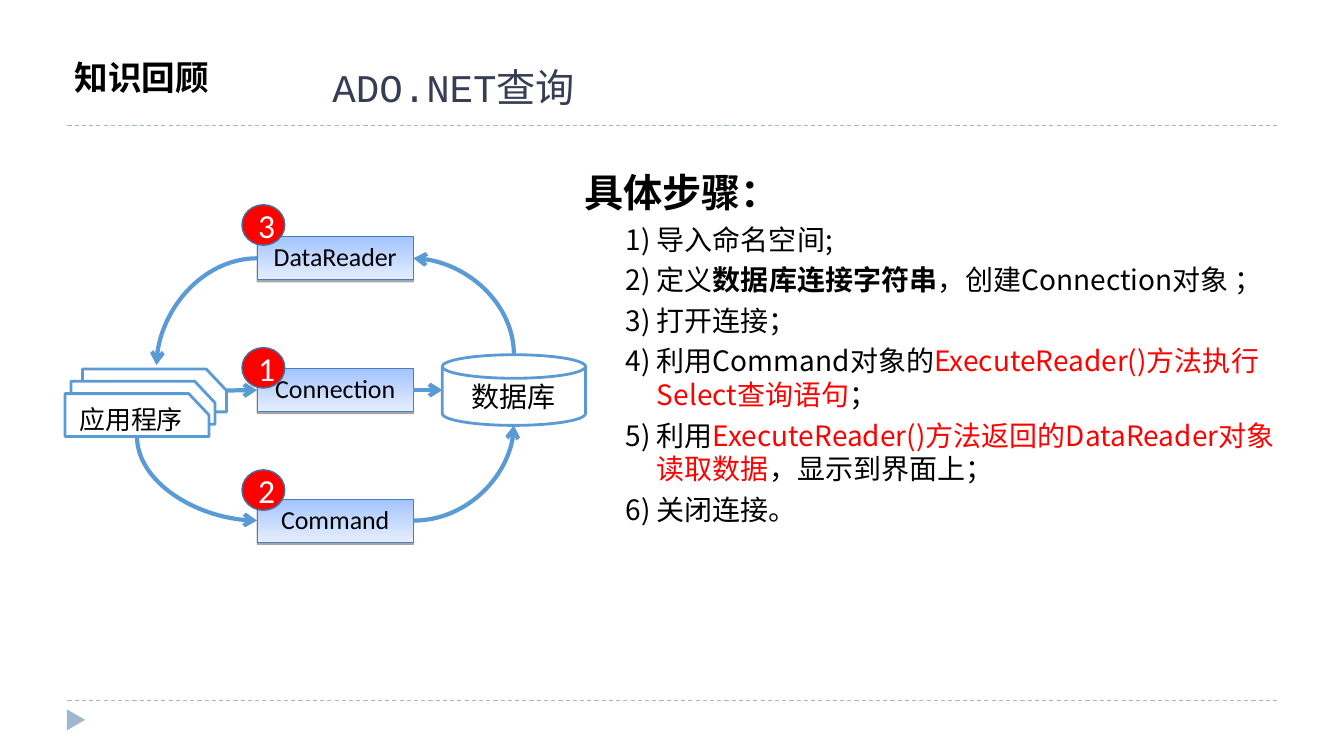
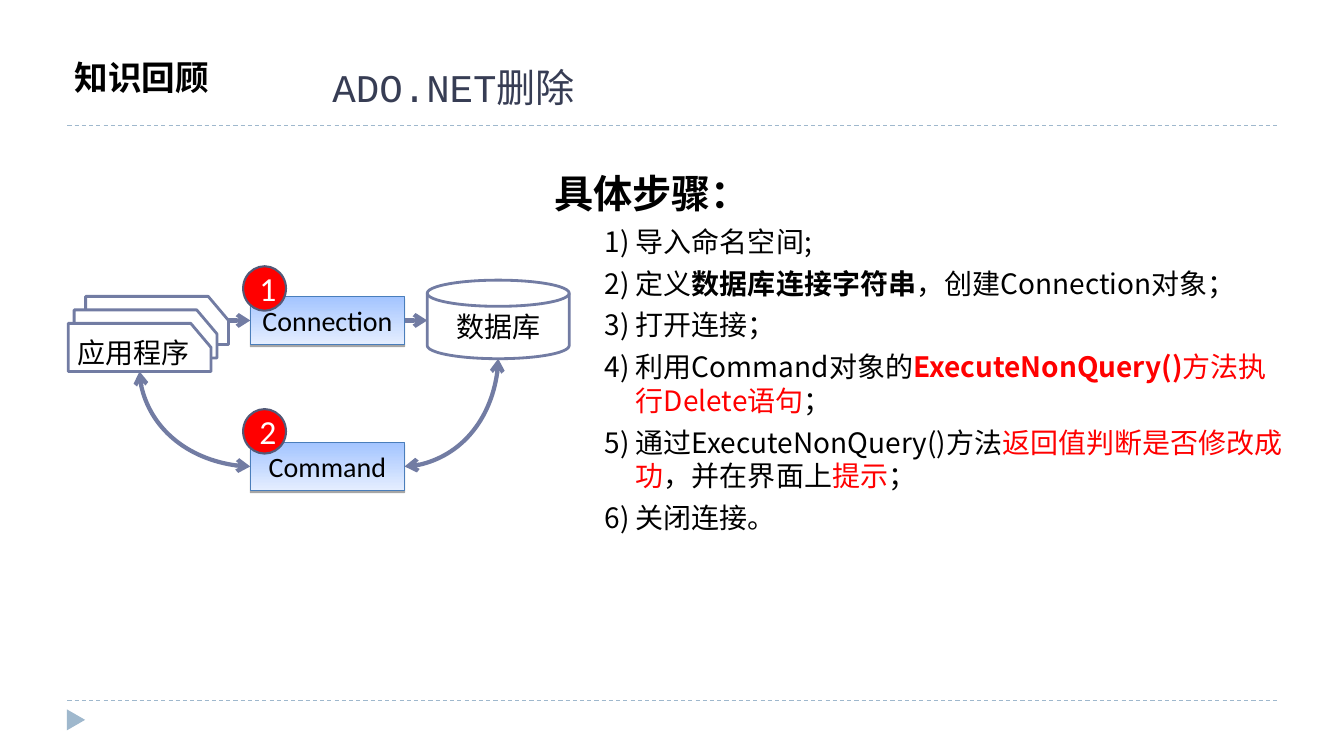
from dataclasses import dataclass
from enum import Enum
from typing import Any, NamedTuple

from lxml.etree import SubElement
from pptx import Presentation
from pptx.dml.color import RGBColor
from pptx.enum.dml import MSO_LINE
from pptx.enum.shapes import MSO_CONNECTOR, MSO_SHAPE
from pptx.enum.text import MSO_ANCHOR, PP_ALIGN
from pptx.oxml.ns import qn
from pptx.util import Cm, Pt


@dataclass(frozen=True)
class Theme:
    black: str = "000000"
    white: str = "FFFFFF"
    red: str = "FF0000"
    title: str = "373D54"
    rule: str = "9FB8CD"
    box_top: str = "A3C4FF"
    box_bottom: str = "E5EEFF"
    box_line: str = "4A7EBB"
    title_font: str = "Courier New"
    heading_font: str = "Noto Sans CJK JP"
    body_font: str = "Noto Sans CJK SC"
    label_font: str = "Calibri"
    title_size: float = 28
    section_size: float = 24
    body_size: float = 20
    badge_size: float = 24


THEME = Theme()


class Area(NamedTuple):
    """Left, top, width and height in centimetres."""
    x: float
    y: float
    w: float
    h: float

    @property
    def cx(self) -> float:
        return self.x + self.w / 2

    @property
    def cy(self) -> float:
        return self.y + self.h / 2

    @property
    def right(self) -> float:
        return self.x + self.w

    @property
    def bottom(self) -> float:
        return self.y + self.h

    def emu(self) -> list[Cm]:
        return [Cm(v) for v in self]


class Run(NamedTuple):
    text: str
    color: str = THEME.black
    bold: bool = False


class Route(Enum):
    STRAIGHT = "straight"
    ABOVE = "above"
    BELOW = "below"


class Step(NamedTuple):
    label: str
    number: int
    top: float
    badge_top: float
    route: Route


@dataclass(frozen=True)
class Diagram:
    accent: str
    badge_line: str
    badge_line_width: float
    label_size: float
    label_leading: float
    disk: Area
    rear_sheet: Area
    sheet_drop: float
    box_x: float
    box_w: float
    badge_x: float
    badge_h: float
    two_way: bool
    steps: list[Step]


@dataclass(frozen=True)
class Page:
    title: str
    body: Area
    heading_indent: float
    space_before: float
    items: list[list[Run]]
    diagram: Diagram


def apply(obj: Any, values: dict[str, Any]) -> None:
    for name, value in values.items():
        setattr(obj, name, value)


def rgb(color: str) -> RGBColor:
    return RGBColor.from_string(color)


def add_run(p: Any, run: Run, font: str, size: float) -> None:
    r = p.add_run()
    r.text = run.text
    apply(r.font, {"name": font, "size": Pt(size), "bold": run.bold})
    r.font.color.rgb = rgb(run.color)
    east = THEME.heading_font if font == THEME.heading_font else THEME.body_font
    SubElement(r._r.get_or_add_rPr(), qn("a:ea")).set("typeface", east)


def add_text(s: Any, area: Area) -> Any:
    tf = s.shapes.add_textbox(*area.emu()).text_frame
    tf.word_wrap = True
    return tf


def style_shape(sp: Any, fill: str, line: str, width: float) -> None:
    sp.shadow.inherit = False
    sp.fill.solid()
    sp.fill.fore_color.rgb = rgb(fill)
    sp.line.color.rgb = rgb(line)
    sp.line.width = Pt(width)


def add_label(sp: Any, run: Run, size: float, leading: float = 1.0) -> None:
    tf = sp.text_frame
    apply(tf, {"word_wrap": True, "vertical_anchor": MSO_ANCHOR.MIDDLE})
    p = tf.paragraphs[0]
    apply(p, {"alignment": PP_ALIGN.CENTER, "line_spacing": leading})
    add_run(p, run, THEME.label_font, size)


def add_line(s: Any, kind: MSO_CONNECTOR, start: tuple[float, float], end: tuple[float, float],
             color: str, width: float, head: bool = False, tail: bool = False) -> Any:
    sp = s.shapes.add_connector(kind, *(Cm(v) for v in start + end))
    sp.line.color.rgb = rgb(color)
    sp.line.width = Pt(width)
    ln = sp.line._get_or_add_ln()
    for shown, tag in ((head, "a:headEnd"), (tail, "a:tailEnd")):
        if shown:
            SubElement(ln, qn(tag)).set("type", "arrow")
    spPr = sp._element.spPr
    SubElement(spPr, qn("a:effectLst"))
    if kind == MSO_CONNECTOR.CURVE:
        spPr.find(qn("a:prstGeom")).set("prst", "curvedConnector2")
    return sp


def add_frame(s: Any, title: str) -> None:
    """Draw the rules, corner marker, section name and title."""
    for y in (17.65, 3.17):
        rule = add_line(s, MSO_CONNECTOR.STRAIGHT, (1.7, y), (32.18, y), THEME.rule, 0.75)
        rule.line.dash_style = MSO_LINE.DASH
    marker = s.shapes.add_shape(MSO_SHAPE.ISOSCELES_TRIANGLE, *Area(1.65, 17.91, 0.53, 0.46).emu())
    style_shape(marker, THEME.rule, THEME.rule, 0.75)
    marker.line.fill.background()
    marker.rotation = 90
    p = add_text(s, Area(8.13, 1.47, 23.7, 1.45)).paragraphs[0]
    add_run(p, Run(title, THEME.title), THEME.title_font, THEME.title_size)
    p = add_text(s, Area(1.63, 1.5, 4.42, 1.17)).paragraphs[0]
    apply(p, {"line_spacing": 0.8, "space_before": Pt(6)})
    add_run(p, Run("知识回顾", bold=True), THEME.heading_font, THEME.section_size)


def add_body(s: Any, page: Page) -> None:
    tf = add_text(s, page.body)
    p = tf.paragraphs[0]
    p._p.get_or_add_pPr().set("marL", str(Cm(page.heading_indent)))
    add_run(p, Run("具体步骤：", bold=True), THEME.heading_font, THEME.title_size)
    for item in page.items:
        p = tf.add_paragraph()
        apply(p, {"level": 1, "space_before": Pt(page.space_before)})
        pPr = p._p.get_or_add_pPr()
        pPr.set("marL", str(Cm(2.06)))
        pPr.set("indent", str(Cm(-0.79)))
        for run in item:
            add_run(p, run, THEME.body_font, THEME.body_size)


def add_box(s: Any, area: Area, label: str, d: Diagram) -> Any:
    sp = s.shapes.add_shape(MSO_SHAPE.RECTANGLE, *area.emu())
    style_shape(sp, THEME.box_top, THEME.box_line, 0.75)
    sp.fill.gradient()
    sp.fill.gradient_angle = 270
    for stop, color in zip(sp.fill.gradient_stops, (THEME.box_top, THEME.box_bottom)):
        stop.color.rgb = rgb(color)
    effects = sp._element.spPr.find(qn("a:effectLst"))
    shadow = SubElement(effects, qn("a:outerShdw"), dist=str(Pt(1.6)), dir="5400000", rotWithShape="0")
    tint = SubElement(shadow, qn("a:srgbClr"), val=THEME.black)
    SubElement(tint, qn("a:alpha"), val="34000")
    add_label(sp, Run(label), d.label_size, d.label_leading)
    return sp


def add_sheets(s: Any, d: Diagram) -> Area:
    """Draw the stack of cut-corner sheets and return the front one's area."""
    rear = d.rear_sheet
    for i, shift in enumerate((0, 0.29, 0.44)):
        area = rear._replace(x=rear.x - shift, y=rear.y + i * d.sheet_drop)
        outline = [(area.right - 0.51, area.y), (area.right, area.cy),
                   (area.right, area.bottom), (area.x, area.bottom)]
        builder = s.shapes.build_freeform(Cm(area.x), Cm(area.y))
        builder.add_line_segments([(Cm(x), Cm(y)) for x, y in outline], close=True)
        sp = builder.convert_to_shape()
        style_shape(sp, THEME.white, d.accent, 2)
    apply(sp.text_frame, {"margin_left": Cm(0.15), "margin_right": Cm(0.45), "margin_top": Cm(0.35)})
    add_label(sp, Run("应用程序"), d.label_size)
    return area


def add_arrows(s: Any, d: Diagram, step: Step, box: Any, area: Area, front: Area) -> None:
    """Join one box to the application on its left and the database on its right."""
    rear, disk = d.rear_sheet, d.disk
    left, right = (area.x, area.cy), (area.right, area.cy)
    if step.route is Route.STRAIGHT:
        kind = MSO_CONNECTOR.STRAIGHT
        add_line(s, kind, (rear.right, rear.cy), left, d.accent, 3, tail=True).end_connect(box, 1)
        add_line(s, kind, right, (disk.x, area.cy), d.accent, 3, tail=True).begin_connect(box, 3)
        return
    above = step.route is Route.ABOVE
    app_end = (rear.cx + 0.05, rear.y - 0.1) if above else (front.cx, front.bottom)
    disk_end = (disk.cx, disk.y if above else disk.bottom)
    for site, start, end, into_box in ((1, left, app_end, not above), (3, right, disk_end, above)):
        sp = add_line(s, MSO_CONNECTOR.CURVE, start, end, d.accent, 3,
                      head=into_box or d.two_way, tail=not into_box or d.two_way)
        sp.begin_connect(box, site)


def add_diagram(s: Any, d: Diagram) -> None:
    disk = s.shapes.add_shape(MSO_SHAPE.FLOWCHART_MAGNETIC_DISK, *d.disk.emu())
    style_shape(disk, THEME.white, d.accent, 2)
    add_label(disk, Run("数据库"), THEME.body_size)
    front = add_sheets(s, d)
    for step in d.steps:
        area = Area(d.box_x, step.top, d.box_w, d.rear_sheet.h)
        box = add_box(s, area, step.label, d)
        add_arrows(s, d, step, box, area, front)
        badge = s.shapes.add_shape(MSO_SHAPE.FLOWCHART_CONNECTOR,
                                   *Area(d.badge_x, step.badge_top, 1.08, d.badge_h).emu())
        style_shape(badge, THEME.red, d.badge_line, d.badge_line_width)
        add_label(badge, Run(str(step.number), THEME.white), THEME.badge_size)


def connection_items(ending: str) -> list[list[Run]]:
    """Return the first three steps, which both pages share."""
    return [[Run("1) 导入命名空间;")],
            [Run("2) 定义"), Run("数据库连接字符串", bold=True), Run("，创建Connection对象" + ending)],
            [Run("3) 打开连接；")]]


CLOSING = [Run("6) 关闭连接。")]

QUERY = Page(
    "ADO.NET查询", Area(14.25, 4.11, 18.52, 11.28), 0.23, 5,
    connection_items(" ；") + [
        [Run("4) 利用Command对象的"), Run("ExecuteReader()方法执行Select查询语句", THEME.red), Run("；")],
        [Run("5) 利用"), Run("ExecuteReader()方法返回的DataReader对象读取数据", THEME.red),
         Run("，显示到界面上；")],
        CLOSING],
    Diagram("5B9BD5", "41719C", 1, 18.5, 0.9, Area(11.15, 8.94, 3.61, 1.78),
            Area(2.08, 9.3, 3.63, 1.08), 0.31, 6.48, 3.94, 6.1, 1.02, False,
            [Step("Command", 2, 12.58, 11.84, Route.BELOW),
             Step("Connection", 1, 9.29, 8.76, Route.STRAIGHT),
             Step("DataReader", 3, 5.97, 5.16, Route.ABOVE)]))

DELETE = Page(
    "ADO.NET删除", Area(13.72, 4.14, 19.05, 11.28), 0, 5.8,
    connection_items("；") + [
        [Run("4) 利用Command对象的"), Run("ExecuteNonQuery()", THEME.red, True),
         Run("方法执行Delete语句", THEME.red), Run("；")],
        [Run("5) 通过ExecuteNonQuery()方法"), Run("返回值判断是否修改成功", THEME.red),
         Run("，并在界面上"), Run("提示", THEME.red), Run("；")],
        CLOSING],
    Diagram("727CA3", "525977", 1.5, 20, 1.0, Area(10.77, 7.06, 3.58, 1.98),
            Area(2.16, 7.47, 3.6, 1.21), 0.34, 6.31, 3.89, 6.13, 1.12, True,
            [Step("Command", 2, 11.15, 10.31, Route.BELOW),
             Step("Connection", 1, 7.47, 6.71, Route.STRAIGHT)]))


def main() -> None:
    prs = Presentation()
    apply(prs, {"slide_width": Cm(33.88), "slide_height": Cm(19.05)})
    for page in (QUERY, DELETE):
        s = prs.slides.add_slide(prs.slide_layouts[6])
        add_frame(s, page.title)
        add_body(s, page)
        add_diagram(s, page.diagram)
    prs.save("out.pptx")


if __name__ == "__main__":
    main()
